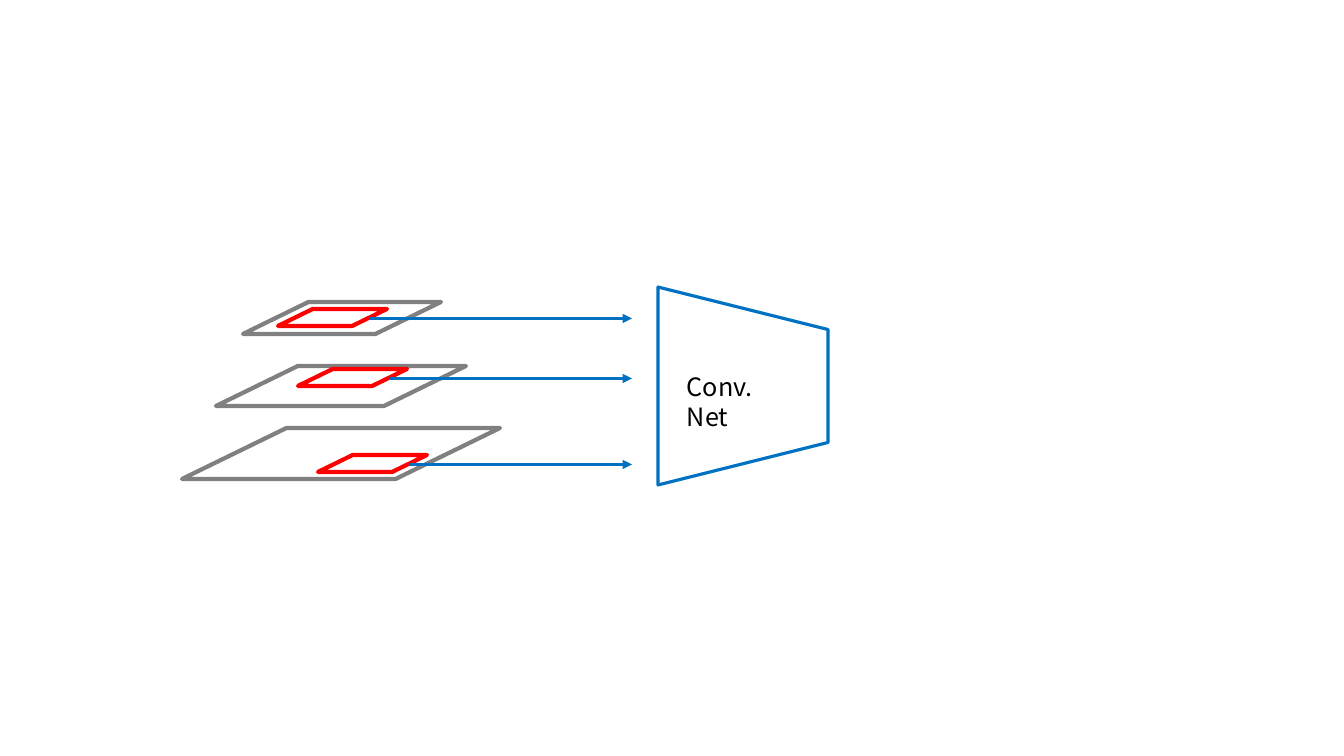
from dataclasses import dataclass
from lxml import etree
from pptx import Presentation
from pptx.dml.color import RGBColor as RGB
from pptx.enum.shapes import MSO_CONNECTOR as CONN, MSO_SHAPE as SHAPE
from pptx.enum.text import MSO_AUTO_SIZE as FIT
from pptx.oxml.ns import qn
from pptx.util import Emu, Pt

# Content: all lengths in px
SLIDE = (1344, 756)
MAPS = [(182, 428, 318, 51), (216, 366, 250, 40), (243, 302, 198, 32)]
PATCHES = [(278, 309), (298, 369), (318, 455)]
PATCH_SIZE = (109, 17)
ARROW_END = 632
NET = (644, 301, 198, 170)
LABEL = ("Conv. Net", (677, 366, 129, 40))


@dataclass(frozen=True)
class Theme:
    map: str = "808080"
    patch: str = "FF0000"
    net: str = "0070C0"
    ink: str = "000000"
    font: str = "Noto Sans CJK TC"
    size: float = 18
    lead: float = 21.6
    thick: float = 3
    thin: float = 2.25
    skew: float = 2.048


THEME = Theme()
SCALE = 914400 / 100.8


def px(*vals):
    """Turn px lengths into EMU."""
    return [Emu(round(v * SCALE)) for v in vals]


def stroke(item, color, width):
    item.line.color.rgb = RGB.from_string(color)
    item.line.width = Pt(width)


def outline(slide, kind, box, color, width):
    """Add an unfilled preset shape."""
    shape = slide.shapes.add_shape(kind, *px(*box))
    shape.shadow.inherit = False
    shape.fill.background()
    stroke(shape, color, width)
    return shape


def sheet(slide, box, color):
    shape = outline(slide, SHAPE.PARALLELOGRAM, box, color, THEME.thick)
    shape.adjustments[0] = THEME.skew


def arrow(slide, left, y, right):
    line = slide.shapes.add_connector(CONN.STRAIGHT, *px(left, y, right, y))
    stroke(line, THEME.net, THEME.thin)
    etree.SubElement(line.line._get_or_add_ln(), qn("a:tailEnd"), type="triangle")
    etree.SubElement(line._element.spPr, qn("a:effectLst"))


def label(slide, text, box):
    frame = slide.shapes.add_textbox(*px(*box)).text_frame
    frame.word_wrap = True
    frame.auto_size = FIT.SHAPE_TO_FIT_TEXT
    para = frame.paragraphs[0]
    para.line_spacing = Pt(THEME.lead)
    run = para.add_run()
    run.text = text
    for key, val in {"name": THEME.font, "size": Pt(THEME.size)}.items():
        setattr(run.font, key, val)
    run.font.color.rgb = RGB.from_string(THEME.ink)


def main():
    deck = Presentation()
    deck.slide_width, deck.slide_height = px(*SLIDE)
    slide = deck.slides.add_slide(deck.slide_layouts[6])

    for box in MAPS:
        sheet(slide, box, THEME.map)
    for spot in PATCHES:
        sheet(slide, spot + PATCH_SIZE, THEME.patch)

    # Each arrow leaves the middle of its patch's slanted right edge
    wide, high = PATCH_SIZE
    for left, top in PATCHES:
        start = left + wide - high * THEME.skew / 2
        arrow(slide, start, top + high / 2 + 1, ARROW_END)

    net = outline(slide, SHAPE.TRAPEZOID, NET, THEME.net, THEME.thin)
    net.rotation = 90
    label(slide, *LABEL)
    deck.save("out.pptx")


if __name__ == "__main__":
    main()
